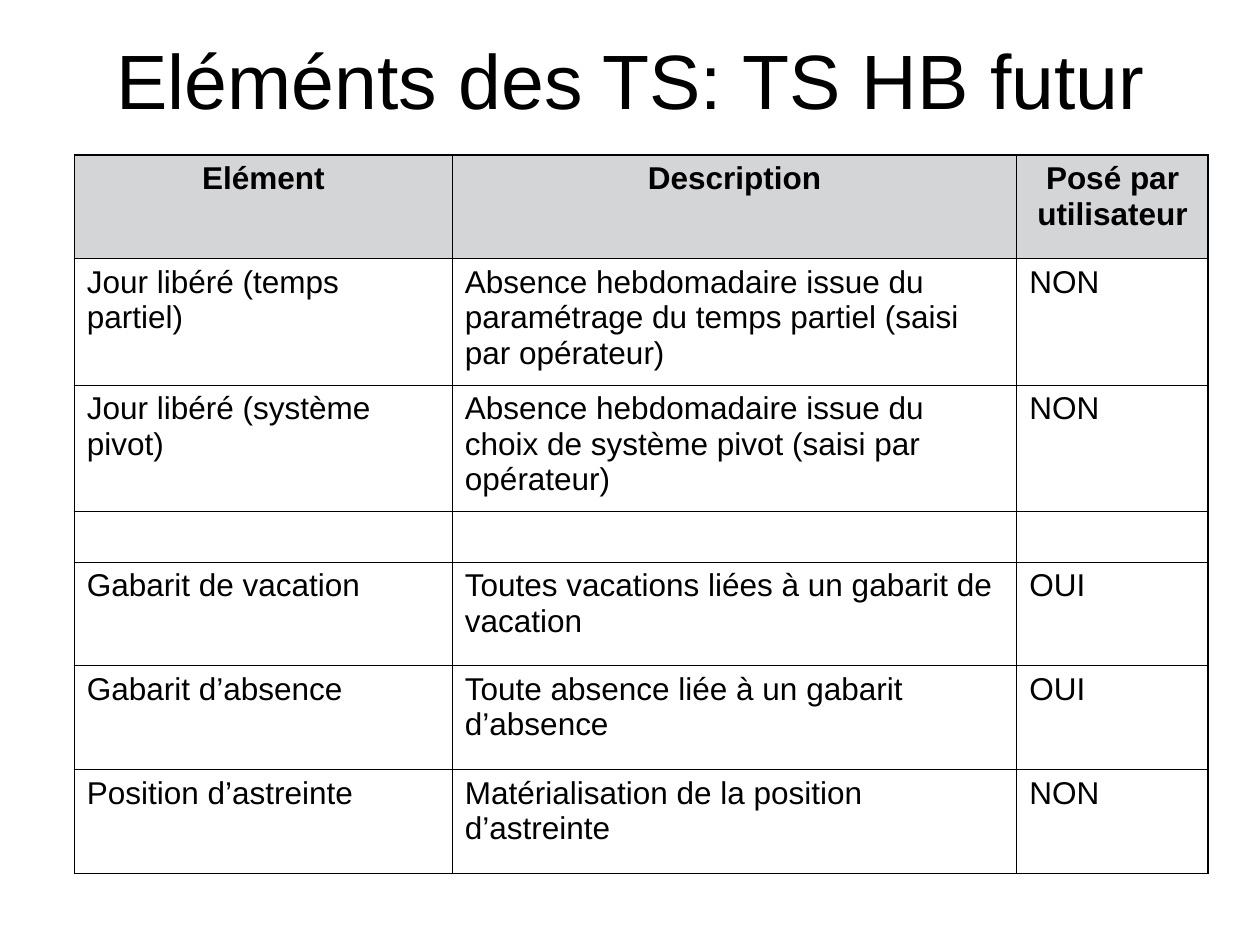
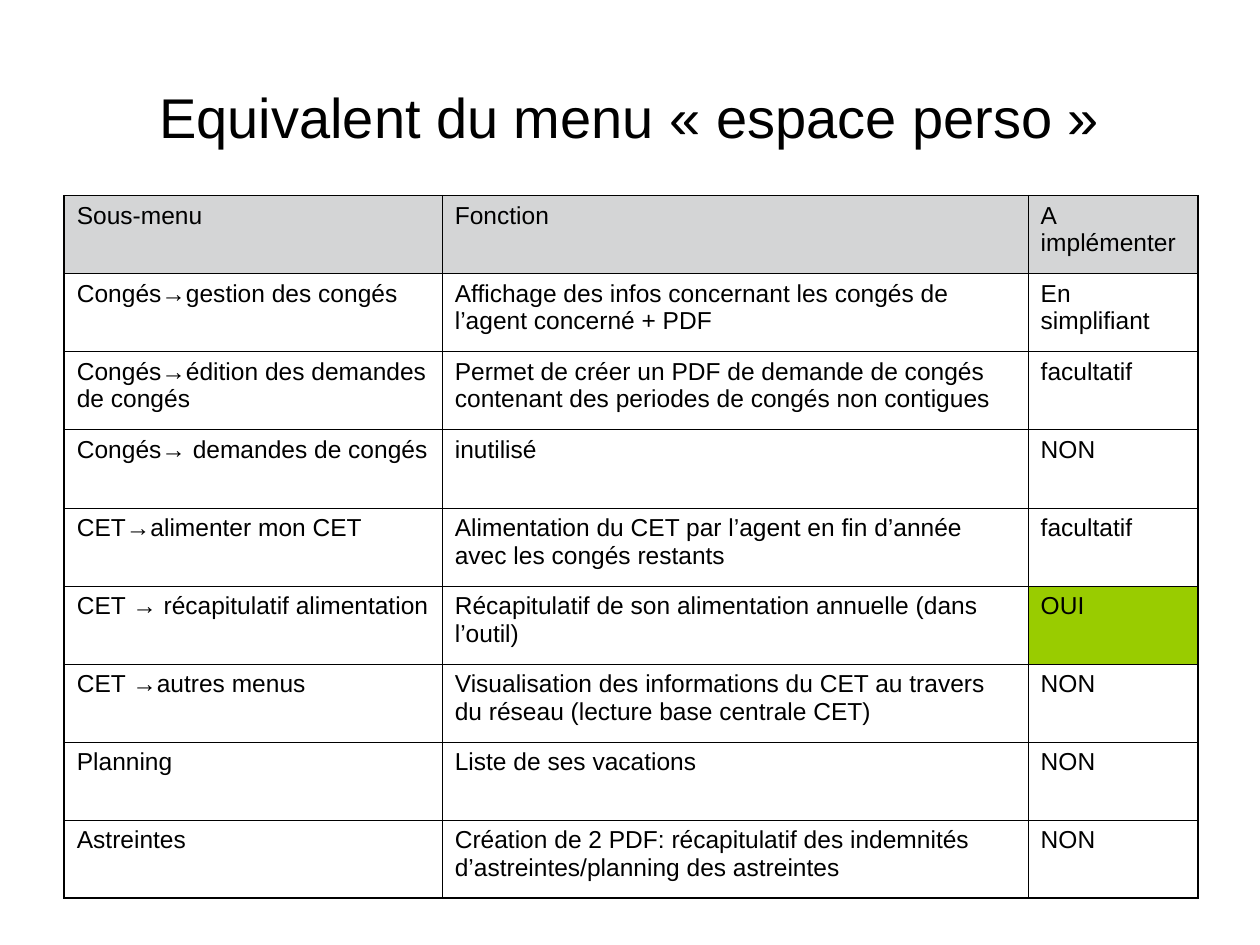
import pptx
import pptx.util
import pptx.dml.color
import pptx.enum.text
import pptx.oxml.ns
import lxml.etree

BLACK = pptx.dml.color.RGBColor(0x00, 0x00, 0x00)
GREY = pptx.dml.color.RGBColor(0xD4, 0xD5, 0xD6)
GREEN = pptx.dml.color.RGBColor(0x99, 0xCC, 0x00)
WIDE, TALL = pptx.util.Inches(10), pptx.util.Inches(7.5)
SPAN = 0.9
THIN, THICK = 0.45, 1.08
CENTER = pptx.enum.text.PP_ALIGN.CENTER
LEFT = pptx.enum.text.PP_ALIGN.LEFT
INSET = {
    "margin_left": pptx.util.Inches(0.1),
    "margin_right": pptx.util.Inches(0.1),
    "margin_top": pptx.util.Inches(0.05),
    "margin_bottom": pptx.util.Inches(0.05),
}

FUTURE = {
    "title": "Eléménts des TS: TS HB futur",
    "title_at": (0.051, 0),
    "title_size": 44,
    "at": (0.059, 0.164),
    "height": 0.76,
    "cols": (3, 4.48, 1.52),
    "rows": (0.82, 1, 1, 0.4, 0.82, 0.82, 0.82),
    "size": 18,
    "before": 4.5,
    "head": {"bold": True, "align": CENTER},
    "base": THIN,
    "marks": {},
    "cells": (
        ("Elément", "Description", "Posé par utilisateur"),
        ("Jour libéré (temps partiel)",
         "Absence hebdomadaire issue du paramétrage du temps partiel (saisi par opérateur)", "NON"),
        ("Jour libéré (système pivot)",
         "Absence hebdomadaire issue du choix de système pivot (saisi par opérateur)", "NON"),
        ("", "", ""),
        ("Gabarit de vacation", "Toutes vacations liées à un gabarit de vacation", "OUI"),
        ("Gabarit d’absence", "Toute absence liée à un gabarit d’absence", "OUI"),
        ("Position d’astreinte", "Matérialisation de la position d’astreinte", "NON"),
    ),
}

MENU = {
    "title": "Equivalent du menu « espace perso »",
    "title_at": (0.05, 0.04),
    "title_size": 32,
    "at": (0.051, 0.207),
    "height": 0.744,
    "cols": (3, 4.65, 1.35),
    "rows": (1,) * 9,
    "size": 14,
    "before": 3.5,
    "head": {"bold": False, "align": LEFT},
    "base": THICK,
    "marks": {(5, 2): GREEN},
    "cells": (
        ("Sous-menu", "Fonction", "A implémenter"),
        ("Congés→gestion des congés",
         "Affichage des infos concernant les congés de l’agent concerné + PDF", "En simplifiant"),
        ("Congés→édition des demandes de congés",
         "Permet de créer un PDF de demande de congés contenant des periodes de congés non contigues",
         "facultatif"),
        ("Congés→ demandes de congés", "inutilisé", "NON"),
        ("CET→alimenter mon CET",
         "Alimentation du CET par l’agent en fin d’année avec les congés restants", "facultatif"),
        ("CET → récapitulatif alimentation",
         "Récapitulatif de son alimentation annuelle (dans l’outil)", "OUI"),
        ("CET →autres menus",
         "Visualisation des informations du CET au travers du réseau (lecture base centrale CET)", "NON"),
        ("Planning", "Liste de ses vacations", "NON"),
        ("Astreintes",
         "Création de 2 PDF: récapitulatif des indemnités d’astreintes/planning des astreintes", "NON"),
    ),
}


def apply(item, values):
    """Set attributes of an item from a dict."""
    for name, value in values.items():
        setattr(item, name, value)


def write(frame, text, size, bold=False, align=LEFT, before=0):
    """Write one styled paragraph into a text frame."""
    para = frame.paragraphs[0]
    apply(para, {"alignment": align, "space_before": pptx.util.Pt(before)})
    para.font.size = pptx.util.Pt(size)
    if text:
        run = para.add_run()
        run.text = text
        apply(run.font, {"name": "Arial", "size": pptx.util.Pt(size), "bold": bold})
        run.font.color.rgb = BLACK


def add_title(slide, text, place, size):
    """Add a centred slide title."""
    left, top = place
    box = slide.shapes.add_textbox(
        int(left * WIDE), int(top * TALL), int(SPAN * WIDE), int(TALL / 6))
    apply(box.text_frame, INSET | {
        "word_wrap": True, "vertical_anchor": pptx.enum.text.MSO_ANCHOR.MIDDLE})
    write(box.text_frame, text, size, align=CENTER)


def add_edges(cell, widths):
    """Draw the four borders of a cell."""
    props = cell._tc.get_or_add_tcPr()
    qn = pptx.oxml.ns.qn
    for side, width in widths.items():
        line = lxml.etree.SubElement(props, qn("a:ln" + side), w=str(pptx.util.Pt(width)))
        fill = lxml.etree.SubElement(line, qn("a:solidFill"))
        lxml.etree.SubElement(fill, qn("a:srgbClr"), val=str(BLACK))


def share(parts, sizes, total, name):
    """Split a length among columns or rows by weight."""
    for part, size in zip(parts, sizes):
        apply(part, {name: int(total * size / sum(sizes))})


def add_grid(slide, data):
    """Add a bordered table with a grey header row."""
    cells, (left, top) = data["cells"], data["at"]
    width, height = int(SPAN * WIDE), int(data["height"] * TALL)
    last, end = len(cells) - 1, len(data["cols"]) - 1
    table = slide.shapes.add_table(
        last + 1, end + 1, int(left * WIDE), int(top * TALL), width, height).table
    apply(table, {"first_row": False, "horz_banding": False})
    share(table.columns, data["cols"], width, "width")
    share(table.rows, data["rows"], height, "height")
    for row, texts in enumerate(cells):
        for col, text in enumerate(texts):
            cell = table.cell(row, col)
            apply(cell, INSET)
            add_edges(cell, {
                "L": THICK if col == 0 else THIN,
                "R": THICK if col == end else THIN,
                "T": THICK if row == 0 else THIN,
                "B": data["base"] if row == last else THIN,
            })
            tint = GREY if row == 0 else data["marks"].get((row, col))
            if tint:
                cell.fill.solid()
                cell.fill.fore_color.rgb = tint
            else:
                cell.fill.background()
            style = data["head"] if row == 0 else {}
            write(cell.text_frame, text, data["size"], before=data["before"] if text else 0, **style)


def main():
    """Build and save the two table slides."""
    deck = pptx.Presentation()
    apply(deck, {"slide_width": WIDE, "slide_height": TALL})
    for data in (FUTURE, MENU):
        slide = deck.slides.add_slide(deck.slide_layouts[6])
        add_title(slide, data["title"], data["title_at"], data["title_size"])
        add_grid(slide, data)
    deck.save("out.pptx")


if __name__ == "__main__":
    main()
